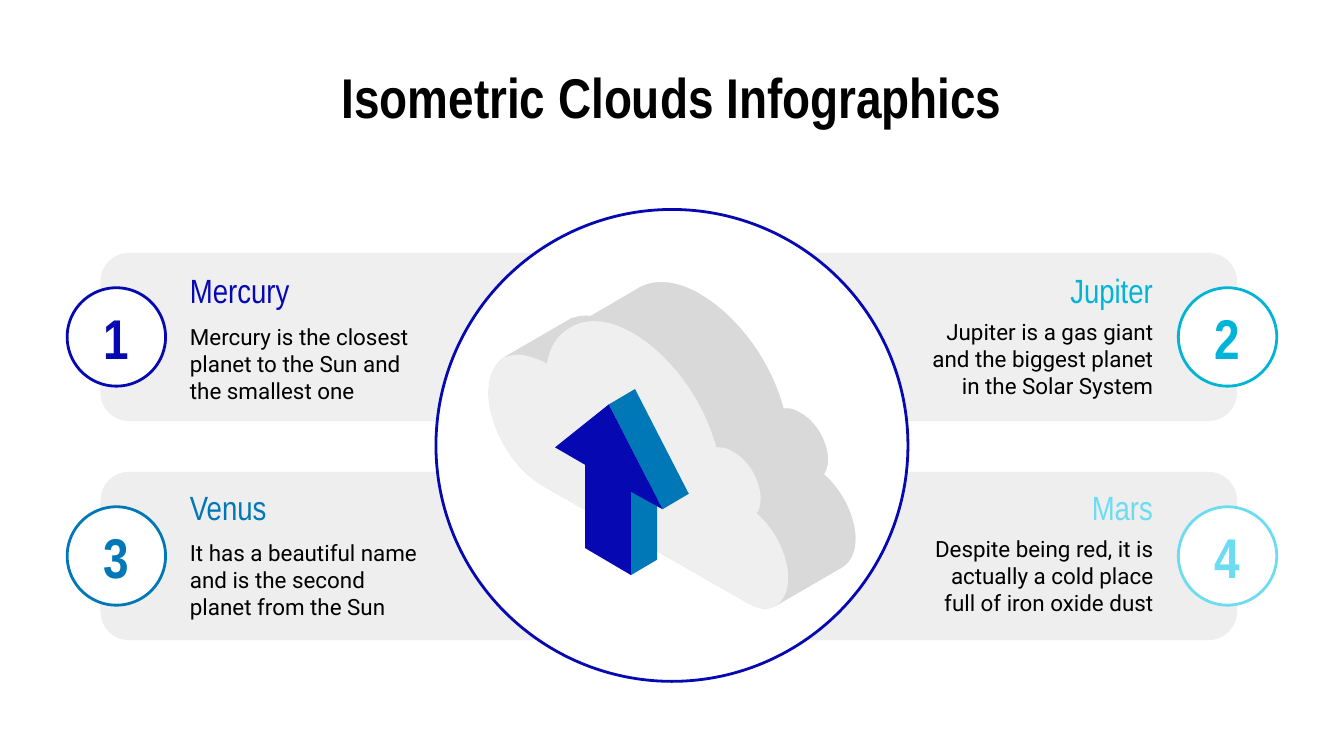
from itertools import chain

from lxml.etree import Element
from pptx import Presentation
from pptx.dml.color import RGBColor
from pptx.enum.shapes import MSO_SHAPE as Shape
from pptx.enum.text import MSO_ANCHOR as Anchor, PP_ALIGN as Align
from pptx.oxml.ns import qn
from pptx.util import Cm, Pt

COLORS = {
    "navy": "0608B2", "blue": "0077B6", "cyan": "00B4D8", "sky": "6CDCF1",
    "black": "000000", "white": "FFFFFF",
    "band": "EEEEEE", "cloud": "EFEFEF", "cloud_side": "D9D9D9",
}
HEADING_FONT, BODY_FONT = "Arial Narrow", "Roboto"

PLANETS = [
    ("Mercury", "Mercury is the closest planet to the Sun and the smallest one", "navy"),
    ("Jupiter", "Jupiter is a gas giant and the biggest planet in the Solar System", "cyan"),
    ("Venus", "It has a beautiful name and is the second planet from the Sun", "blue"),
    ("Mars", "Despite being red, it is actually a cold place full of iron oxide dust", "sky"),
]

# Drawing grid for the cloud and the arrow: x, y in steps of GRID from the slide corner.
GRID = Cm(0.0254)
CLOUD_DEPTH = (50, -29)
ARROW_DEPTH = (19.5, -11.5)

# Each edge is a chain of Bezier curves: a start point, then control, control, end.
LEFT_EDGE = [(403, 361), (381, 348), (363.5, 317), (363.5, 292),
             (364, 279), (368, 271), (375, 266)]
BUMP_RISE = [(407, 271), (409, 258), (415, 249), (424, 244)]
UNDERSIDE = [(577, 451), (575, 452), (572, 453), (569, 453),
             (565, 453), (560, 451), (555, 448)]
RIM_EDGES = [
    [(375, 266), (378, 265), (382, 264), (386, 264),
     (391, 264), (397, 266), (404, 269), (405, 270), (406, 270), (407, 271)],
    [(424, 244), (429, 241), (435, 239), (442, 239),
     (451, 239), (461, 242), (471, 248)],
    [(471, 248), (500, 265), (524, 299), (533, 333)],
    [(533, 333), (534, 333), (535, 333), (536, 333),
     (539, 333), (542, 334), (545, 336), (557, 342), (566, 358), (566, 371),
     (566, 376), (565, 379), (563, 382)],
    [(563, 382), (577, 394), (586.5, 414), (586.5, 430),
     (586.5, 440), (583, 447), (577, 451)],
]
ARROW_FRONT = [(453, 301), (413, 333), (435.5, 346), (435.5, 408),
               (469.5, 428), (469.5, 366), (493, 379)]


def rgb(name):
    return RGBColor.from_string(COLORS[name])


def add_text(slide, box, text, font, size, color, align, anchor, bold=False):
    frame = slide.shapes.add_textbox(*map(Cm, box)).text_frame
    frame.word_wrap = True
    frame.vertical_anchor = anchor
    frame.margin_left = frame.margin_right = Cm(0.25)
    frame.margin_top = frame.margin_bottom = Cm(0.25)
    paragraph = frame.paragraphs[0]
    paragraph.text = text
    paragraph.alignment = align
    paragraph.font.name = font
    paragraph.font.size = Pt(size)
    paragraph.font.bold = bold
    paragraph.font.color.rgb = rgb(color)


def paint(shape, fill, line=None):
    shape.shadow.inherit = False
    shape.fill.solid()
    shape.fill.fore_color.rgb = rgb(fill)
    if line:
        shape.line.color.rgb = rgb(line)
        shape.line.width = Pt(1.5)
    else:
        shape.line.fill.background()


def add_preset(slide, kind, box, fill, line=None):
    shape = slide.shapes.add_shape(kind, *map(Cm, box))
    paint(shape, fill, line)
    return shape


def add_outline(group, edges, fill):
    """Draw a closed outline; straight lines join edges that do not touch."""
    points, curve_starts = [], []
    for edge in edges:
        joined = points and points[-1] == edge[0]
        points += edge[1:] if joined else edge
        first_control = len(points) - len(edge) + 1
        curve_starts += range(first_control, len(points), 3)
    grid_points = [(round(x * GRID), round(y * GRID)) for x, y in points]
    builder = group.shapes.build_freeform(*grid_points[0])
    builder.add_line_segments(grid_points[1:], close=True)
    shape = builder.convert_to_shape()
    paint(shape, fill)

    lines = list(shape._element.iter(qn("a:lnTo")))
    for start in curve_starts:
        curve = Element(qn("a:cubicBezTo"))
        lines[start - 1].addprevious(curve)
        for line in lines[start - 1:start + 2]:
            curve.append(line[0])
            line.getparent().remove(line)


def add_polygon(group, points, fill):
    add_outline(group, [[point] for point in points], fill)


def shift(points, depth):
    return [(x + depth[0], y + depth[1]) for x, y in points]


def add_cloud(slide):
    group = slide.shapes.add_group_shape()
    back = [shift(rim, CLOUD_DEPTH) for rim in RIM_EDGES]
    add_outline(group, [LEFT_EDGE, *back, UNDERSIDE], "cloud_side")
    for rim, back_rim in zip(RIM_EDGES, back):
        add_outline(group, [rim, back_rim[::-1]], "cloud_side")
    front = [LEFT_EDGE, RIM_EDGES[0], BUMP_RISE, *RIM_EDGES[1:], UNDERSIDE]
    add_outline(group, front, "cloud")

    tip, shaft_bottom, shaft_top, barb = (ARROW_FRONT[i] for i in (0, 4, 5, 6))
    for side in ([shaft_bottom, shaft_top], [tip, barb]):
        add_polygon(group, chain(side, shift(side, ARROW_DEPTH)[::-1]), "blue")
    add_polygon(group, ARROW_FRONT, "navy")


def add_planet(slide, index, name, description, color):
    row, column = divmod(index, 2)
    on_right = column == 1
    align = Align.RIGHT if on_right else Align.LEFT
    heading_left, body_left = (17.7, 17.15) if on_right else (3.34, 3.34)
    badge_left, badge_top = 1.27 + column * 21, 5.44 + row * 4.14

    add_preset(slide, Shape.OVAL, (badge_left, badge_top, 1.86, 1.86), "white", color)
    add_text(slide, (badge_left + 0.15, badge_top + 0.32, 1.55, 1.22), str(index + 1),
             HEADING_FONT, 30, color, Align.CENTER, Anchor.MIDDLE, bold=True)
    add_text(slide, (heading_left, 5.11 + row * 4.11, 4.34, 0.74), name,
             HEADING_FONT, 18, color, align, Anchor.MIDDLE)
    add_text(slide, (body_left, 5.86 + row * 4.09, 4.9, 1.85), description,
             BODY_FONT, 12, "black", align, Anchor.MIDDLE if on_right else Anchor.TOP)


def main():
    presentation = Presentation()
    presentation.slide_width, presentation.slide_height = Cm(25.4), Cm(14.29)
    slide = presentation.slides.add_slide(presentation.slide_layouts[6])

    for top, fill in ((8.92, "band"), (4.78, "cloud")):
        band = add_preset(slide, Shape.ROUNDED_RECTANGLE, (1.9, top, 21.48, 3.18), fill)
        band.adjustments[0] = 0.17
    add_preset(slide, Shape.OVAL, (8.24, 3.96, 8.92, 8.92), "white", "navy")
    add_text(slide, (1.27, 1.14, 22.86, 1.35), "Isometric Clouds Infographics",
             HEADING_FONT, 30, "black", Align.CENTER, Anchor.MIDDLE, bold=True)
    add_cloud(slide)
    for index, planet in enumerate(PLANETS):
        add_planet(slide, index, *planet)

    presentation.save("out.pptx")


if __name__ == "__main__":
    main()
